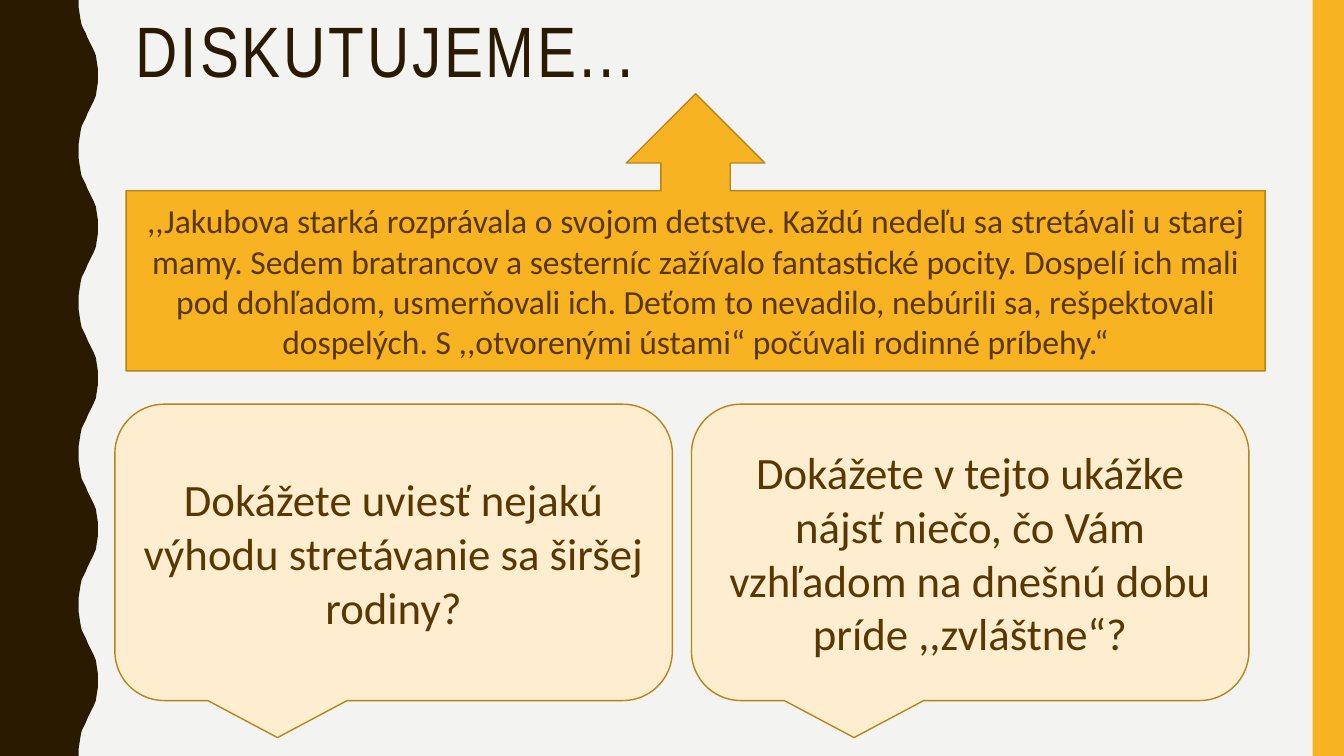
import pptx
import pptx.util
import pptx.dml.color
import pptx.enum.shapes
import pptx.enum.text

RGBColor = pptx.dml.color.RGBColor
MSO_SHAPE = pptx.enum.shapes.MSO_SHAPE
PP_ALIGN = pptx.enum.text.PP_ALIGN
MSO_ANCHOR = pptx.enum.text.MSO_ANCHOR

PAPER = RGBColor(0xF3, 0xF3, 0xF2)
DARK = RGBColor(0x2A, 0x1A, 0x00)
BROWN = RGBColor(0x59, 0x37, 0x00)
AMBER = RGBColor(0xF8, 0xB3, 0x23)
CREAM = RGBColor(0xFF, 0xED, 0xD0)
OUTLINE = RGBColor(0xB7, 0x84, 0x1A)

deck = pptx.Presentation()
deck.slide_width = pptx.util.Inches(13.33)
deck.slide_height = pptx.util.Inches(7.5)
page = deck.slides.add_slide(deck.slide_layouts[6])
page.background.fill.solid()
page.background.fill.fore_color.rgb = PAPER


def share(*percents):
    """Turn alternating percentages of the slide's width and height into lengths."""
    sides = (deck.slide_width, deck.slide_height)
    return [round(percent * sides[i % 2] / 100) for i, percent in enumerate(percents)]


def write(box, text, size, font="Calibri", color=BROWN, align=PP_ALIGN.CENTER,
          anchor=MSO_ANCHOR.MIDDLE, line_spacing=None, tracking=None):
    frame = box.text_frame
    frame.word_wrap = True
    frame.vertical_anchor = anchor
    para = frame.paragraphs[0]
    para.alignment = align
    para.line_spacing = line_spacing
    span = para.add_run()
    span.text = text
    span.font.size = pptx.util.Pt(size)
    span.font.name = font
    span.font.color.rgb = color
    if tracking:
        span._r.get_or_add_rPr().set("spc", str(tracking * 100))


# Wavy left edge: half a wave, mirrored, then repeated down the slide
WAVES = 5
PERIOD = 100 / WAVES
half_wave = [(5.85, 0), (5.85, 0.93), (5.93, 1.87), (6, 2.67), (6.08, 3.33),
             (6.23, 3.87), (6.38, 4.4), (6.53, 5.07), (6.68, 5.6), (6.83, 6.13),
             (6.98, 6.67), (7.13, 7.33), (7.2, 8.13), (7.28, 9.07), (7.28, 10)]
wave = half_wave + [(x, PERIOD - y) for x, y in half_wave[-2::-1]]
edge = [share(x, y + n * PERIOD) for n in range(WAVES) for x, y in wave]
builder = page.shapes.build_freeform(0, 0)
builder.add_line_segments(edge + [share(0, 100)], close=True)
wavy_edge = builder.convert_to_shape()

# Amber bar on the right
bar = page.shapes.add_shape(MSO_SHAPE.RECTANGLE, *share(97.67, 0, 2.33, 100))

for strip, color in ((wavy_edge, DARK), (bar, AMBER)):
    strip.shadow.inherit = False
    strip.fill.solid()
    strip.fill.fore_color.rgb = color
    strip.line.fill.background()

# Title
title = page.shapes.add_textbox(*share(9.38, 1.47, 83.48, 21.73))
write(title, "DISKUTUJEME...", 51, font="Arial Narrow", color=DARK, align=PP_ALIGN.LEFT,
      anchor=MSO_ANCHOR.TOP, line_spacing=0.9, tracking=2)

# Story and the two questions about it
STORY = (",,Jakubova starká rozprávala o svojom detstve. Každú nedeľu sa stretávali u starej "
         "mamy. Sedem bratrancov a sesterníc zažívalo fantastické pocity. Dospelí ich mali "
         "pod dohľadom, usmerňovali ich. Deťom to nevadilo, nebúrili sa, rešpektovali "
         "dospelých. S ,,otvorenými ústami“ počúvali rodinné príbehy.“")
ODD_QUESTION = ("Dokážete v tejto ukážke nájsť niečo, čo Vám vzhľadom na dnešnú dobu "
                "príde ,,zvláštne“?")
GAIN_QUESTION = "Dokážete uviesť nejakú výhodu stretávanie sa širšej rodiny?"
BUBBLE = MSO_SHAPE.ROUNDED_RECTANGULAR_CALLOUT

callouts = [
    (MSO_SHAPE.UP_ARROW_CALLOUT, (9.38, 12.4, 84.75, 36.67), AMBER, STORY, 24),
    (BUBBLE, (51.45, 53.47, 41.48, 39.2), CREAM, ODD_QUESTION, 32),
    (BUBBLE, (8.55, 53.47, 41.48, 39.2), CREAM, GAIN_QUESTION, 32),
]
for kind, area, color, text, size in callouts:
    callout = page.shapes.add_shape(kind, *share(*area))
    callout.shadow.inherit = False
    callout.fill.solid()
    callout.fill.fore_color.rgb = color
    callout.line.color.rgb = OUTLINE
    callout.line.width = pptx.util.Pt(1)
    write(callout, text, size)

deck.save("out.pptx")
